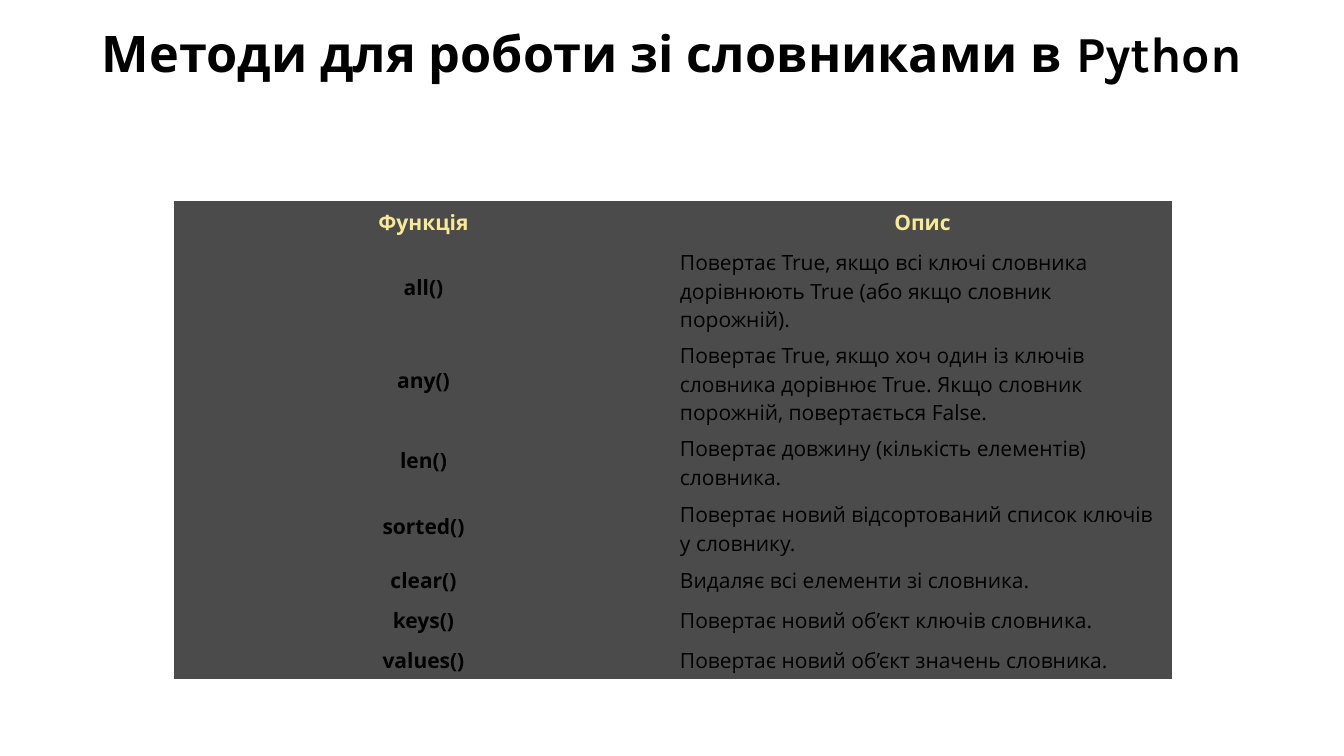
import pptx
import pptx.dml.color
import pptx.enum.text
import pptx.oxml.ns
import pptx.util

HEADING = "Методи для роботи зі словниками в Python"
COLUMNS = ("Функція", "Опис")
# function, description, lines the description takes
METHODS = [
    ("all()", "Повертає True, якщо всі ключі словника дорівнюють True (або якщо словник порожній).", 3),
    ("any()", "Повертає True, якщо хоч один із ключів словника дорівнює True. "
              "Якщо словник порожній, повертається False.", 3),
    ("len()", "Повертає довжину (кількість елементів) словника.", 2),
    ("sorted()", "Повертає новий відсортований список ключів у словнику.", 2),
    ("clear()", "Видаляє всі елементи зі словника.", 1),
    ("keys()", "Повертає новий об’єкт ключів словника.", 1),
    ("values()", "Повертає новий об’єкт значень словника.", 1),
]
COLORS = {"text": "000000", "header": "F7E999", "cell": "4B4B4B"}
ROW_HEIGHTS = {1: 40, 2: 66, 3: 93}
SLIDE_WIDTH, SLIDE_HEIGHT = 1344, 756
TABLE_LEFT, TABLE_TOP, COLUMN_WIDTH = 174, 201, 499
CELL_MARGIN = 7
NO_STYLE = "{2D5ABB26-0587-4C30-8999-92F81FD0307C}"
CENTER = pptx.enum.text.PP_ALIGN.CENTER
LEFT = pptx.enum.text.PP_ALIGN.LEFT


def px(length):
    return pptx.util.Emu(round(length * 914400 / 100.8))


def write(frame, text, font_name, size, color, bold, align):
    frame.text = text
    paragraph = frame.paragraphs[0]
    paragraph.alignment = align
    font = paragraph.runs[0].font
    font.name = font_name
    font.size = pptx.util.Pt(size)
    font.bold = bold
    font.color.rgb = pptx.dml.color.RGBColor.from_string(COLORS[color])


def add_heading(slide):
    heading = slide.shapes.title
    heading.left, heading.top = px(0), px(17)
    heading.width, heading.height = px(SLIDE_WIDTH), px(72)
    frame = heading.text_frame
    frame.word_wrap = True
    frame.auto_size = pptx.enum.text.MSO_AUTO_SIZE.SHAPE_TO_FIT_TEXT
    frame.vertical_anchor = pptx.enum.text.MSO_ANCHOR.TOP
    write(frame, HEADING, "Karla", 36, "text", True, CENTER)


def add_methods(slide):
    rows = [(*COLUMNS, 1), *METHODS]
    heights = [ROW_HEIGHTS[lines] for _, _, lines in rows]
    methods = slide.shapes.add_table(
        len(rows), len(COLUMNS), px(TABLE_LEFT), px(TABLE_TOP),
        px(COLUMN_WIDTH * len(COLUMNS)), px(sum(heights))).table
    methods.first_row = methods.horz_banding = False
    methods._tbl.tblPr.find(pptx.oxml.ns.qn("a:tableStyleId")).text = NO_STYLE
    for column in methods.columns:
        column.width = px(COLUMN_WIDTH)

    for row, (*texts, _) in enumerate(rows):
        methods.rows[row].height = px(heights[row])
        for column, text in enumerate(texts):
            cell = methods.cell(row, column)
            cell.fill.solid()
            cell.fill.fore_color.rgb = pptx.dml.color.RGBColor.from_string(COLORS["cell"])
            cell.vertical_anchor = pptx.enum.text.MSO_ANCHOR.MIDDLE
            cell.margin_left = cell.margin_right = px(CELL_MARGIN)
            cell.margin_top = cell.margin_bottom = px(CELL_MARGIN)
            emphasized = row == 0 or column == 0
            write(cell.text_frame, text, "Open Sans", 15,
                  "header" if row == 0 else "text", emphasized,
                  CENTER if emphasized else LEFT)


def main():
    deck = pptx.Presentation()
    deck.slide_width, deck.slide_height = px(SLIDE_WIDTH), px(SLIDE_HEIGHT)
    slide = deck.slides.add_slide(deck.slide_layouts.get_by_name("Title Only"))
    add_heading(slide)
    add_methods(slide)
    deck.save("out.pptx")


if __name__ == "__main__":
    main()
